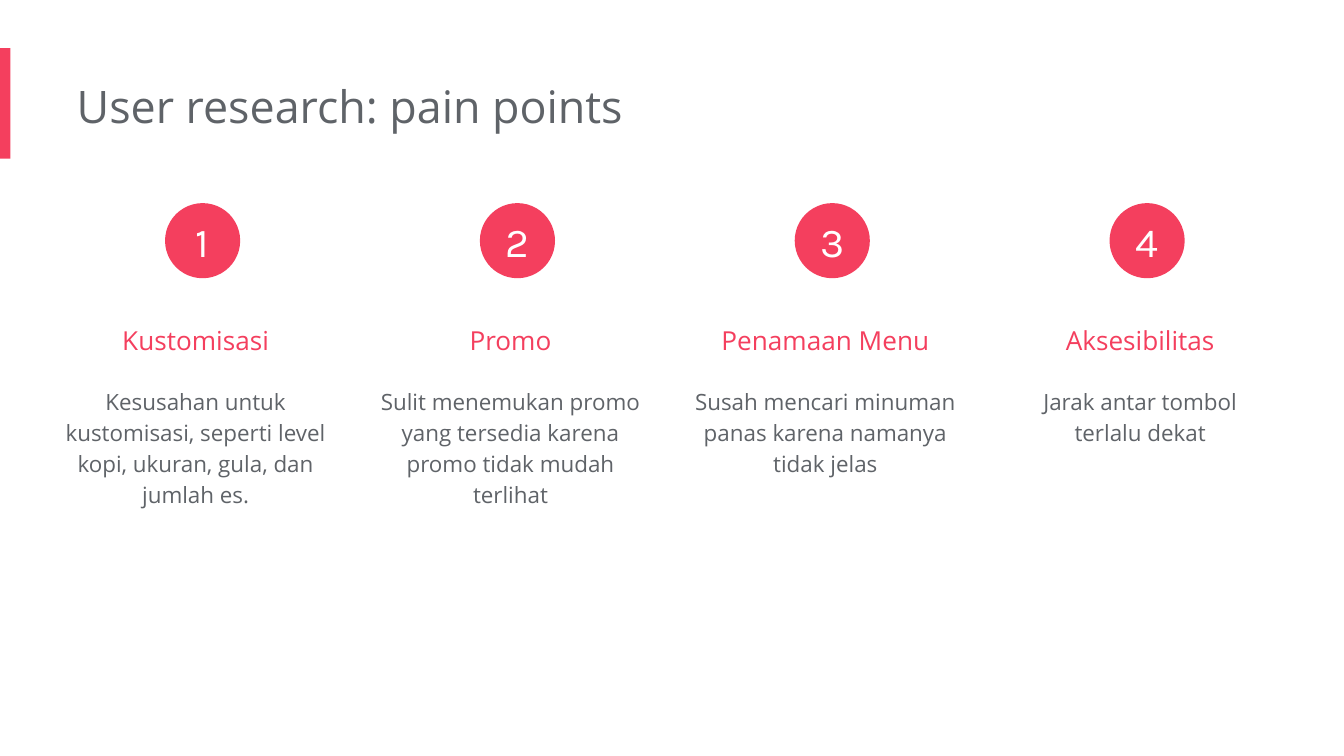
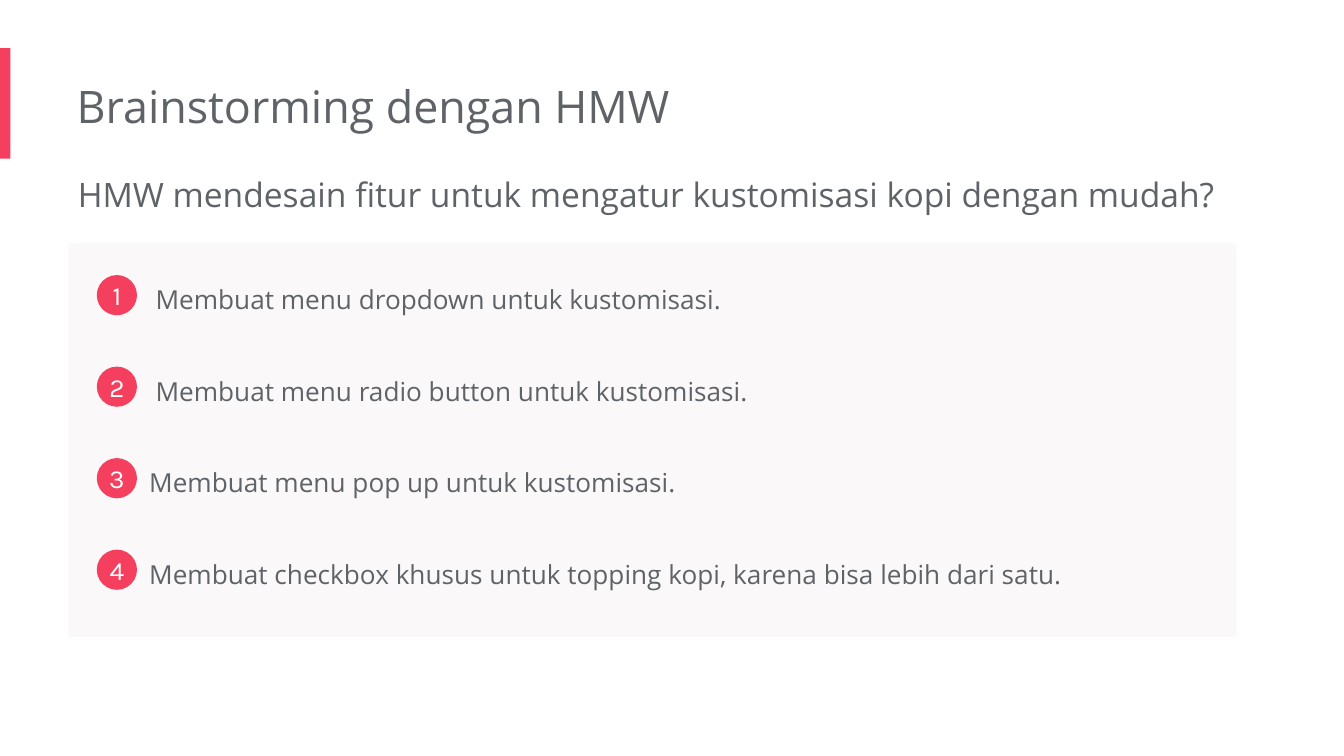
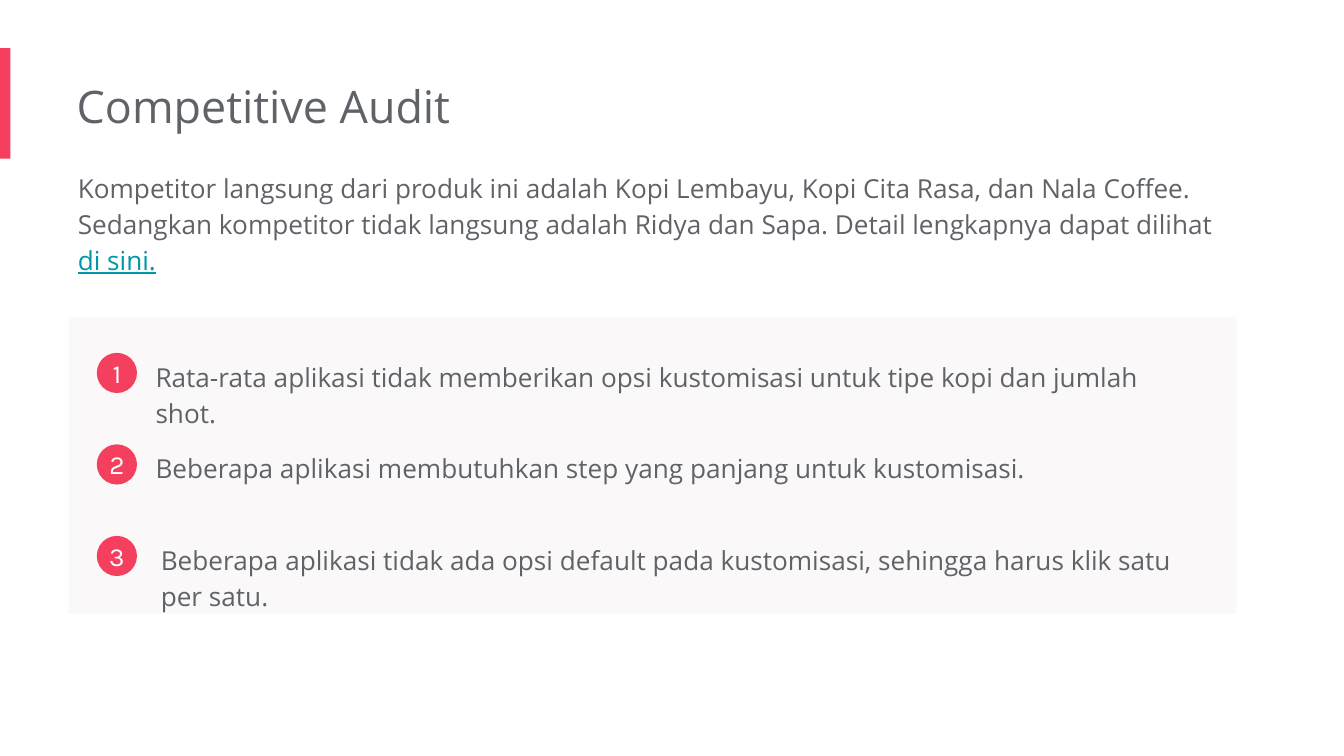
from pptx import Presentation
from pptx.dml.color import RGBColor
from pptx.enum.shapes import MSO_SHAPE
from pptx.enum.text import MSO_ANCHOR, MSO_AUTO_SIZE, PP_ALIGN
from pptx.oxml import parse_xml
from pptx.oxml.ns import nsdecls, qn
from pptx.util import Cm, Pt

COLORS = {
    "accent": "F43F5E",
    "text": "5F6368",
    "panel": "FAF8F8",
    "link": "0097A7",
    "white": "FFFFFF",
}
BODY_FONT = "Open Sans"
NUMBER_FONT = "Karla"
INSET = 0.25

# Numbered rows shared by the panel slides
ROW_PITCH = 1.73
ROW_TEXT_RISE = 0.18
ROW_TEXT_WIDTH = 20.1

# Columns of the pain points slide
COLUMN_LEFT = 1.22
COLUMN_PITCH = 5.95
COLUMN_WIDTH = 5.21

PAIN_POINTS = [
    ("Kustomisasi",
     "Kesusahan untuk kustomisasi, seperti level kopi, ukuran, gula, dan jumlah es."),
    ("Promo",
     "Sulit menemukan promo yang tersedia karena promo tidak mudah terlihat"),
    ("Penamaan Menu",
     "Susah mencari minuman panas karena namanya tidak jelas"),
    ("Aksesibilitas",
     "Jarak antar tombol terlalu dekat"),
]
# Text left, text height, wording
IDEAS = [
    (2.69, 1.12, "Membuat menu dropdown untuk kustomisasi."),
    (2.69, 1.12, "Membuat menu radio button untuk kustomisasi."),
    (2.57, 1.12, "Membuat menu pop up untuk kustomisasi."),
    (2.57, 1.12, "Membuat checkbox khusus untuk topping kopi, karena bisa lebih dari satu."),
]
FINDINGS = [
    (2.69, 1.8, "Rata-rata aplikasi tidak memberikan opsi kustomisasi untuk tipe kopi "
                "dan jumlah shot."),
    (2.69, 1.12, "Beberapa aplikasi membutuhkan step yang panjang untuk kustomisasi."),
    (2.79, 1.8, "Beberapa aplikasi tidak ada opsi default pada kustomisasi, sehingga "
                "harus klik satu per satu."),
]


def rgb(name):
    return RGBColor.from_string(COLORS[name])


def place(shape, left, top, width, height):
    shape.left, shape.top = Cm(left), Cm(top)
    shape.width, shape.height = Cm(width), Cm(height)


def add_run(paragraph, text, size, color="text", font=BODY_FONT, underline=None):
    run = paragraph.add_run()
    run.text = text
    run.font.size = Pt(size)
    run.font.name = font
    run.font.color.rgb = rgb(color)
    run.font.underline = underline


def write_text(shape, text, *, size, color="text", font=BODY_FONT,
               align=PP_ALIGN.LEFT, spacing=1.0, anchor=MSO_ANCHOR.TOP,
               left_inset=0, inset=INSET, autosize=MSO_AUTO_SIZE.SHAPE_TO_FIT_TEXT):
    """Write one formatted paragraph and return it."""
    frame = shape.text_frame
    frame.word_wrap = True
    frame.auto_size = autosize
    frame.vertical_anchor = anchor
    frame.margin_left = Cm(left_inset)
    frame.margin_top = frame.margin_right = frame.margin_bottom = Cm(inset)
    paragraph = frame.paragraphs[0]
    paragraph.alignment = align
    paragraph.line_spacing = spacing
    paragraph.space_before = Pt(0)
    add_run(paragraph, text, size, color, font)
    return paragraph


def add_text(slide, box, text, **text_format):
    textbox = slide.shapes.add_textbox(*map(Cm, box))
    write_text(textbox, text, **text_format)


def add_filled_shape(slide, outline, box, color):
    shape = slide.shapes.add_shape(outline, *map(Cm, box))
    shape.fill.solid()
    shape.fill.fore_color.rgb = rgb(color)
    shape.line.fill.background()
    shape.shadow.inherit = False
    return shape


def add_badge(slide, number, left, top, diameter, size):
    badge = add_filled_shape(slide, MSO_SHAPE.OVAL, (left, top, diameter, diameter), "accent")
    write_text(badge, str(number), size=size, color="white", font=NUMBER_FONT,
               align=PP_ALIGN.CENTER, anchor=MSO_ANCHOR.MIDDLE, inset=0,
               autosize=MSO_AUTO_SIZE.NONE)


def start_slide(deck, layout_name, title):
    """Add a slide with the accent bar and the shared title style."""
    slide = deck.slides.add_slide(deck.slide_layouts.get_by_name(layout_name))
    add_filled_shape(slide, MSO_SHAPE.RECTANGLE, (0, 0.91, 0.2, 2.09), "accent")
    place(slide.shapes.title, 1.45, 1.24, 17, 1.55)
    write_text(slide.shapes.title, title, size=24)
    return slide


def write_intro(slide, text, height, size):
    """Fill the body placeholder as an unbulleted lead paragraph."""
    intro = slide.placeholders[1]
    place(intro, 1.47, 2.92, 21.87, height)
    paragraph = write_text(intro, text, size=size, spacing=1.15)
    properties = next(intro.element.iter(qn("a:pPr")))
    properties.set("marL", "0")
    properties.set("indent", "0")
    properties.append(parse_xml(f"<a:buNone {nsdecls('a')}/>"))
    return paragraph


def add_numbered_panel(slide, rows, top, height, first_badge_top):
    add_filled_shape(slide, MSO_SHAPE.RECTANGLE, (1.3, top, 22.07, height), "panel")
    for index, (text_left, text_height, text) in enumerate(rows):
        badge_top = first_badge_top + index * ROW_PITCH
        add_text(slide, (text_left, badge_top - ROW_TEXT_RISE, ROW_TEXT_WIDTH, text_height),
                 text, size=14, spacing=1.15, left_inset=INSET)
        add_badge(slide, index + 1, 1.83, badge_top, 0.76, 14)


def add_pain_point(slide, index, heading, description):
    left = COLUMN_LEFT + index * COLUMN_PITCH
    add_text(slide, (left, 5.59, COLUMN_WIDTH, 1.12), heading,
             size=14, color="accent", align=PP_ALIGN.CENTER, spacing=1.5)
    add_text(slide, (left, 7.01, COLUMN_WIDTH, 2.79), description,
             size=12, align=PP_ALIGN.CENTER, spacing=1.15)
    add_badge(slide, index + 1, left + 1.9, 3.84, 1.42, 22)


def main():
    deck = Presentation()
    deck.slide_width, deck.slide_height = Cm(25.4), Cm(14.29)

    # Pain points
    pain_slide = start_slide(deck, "Title Only", "User research: pain points")
    for index, (heading, description) in enumerate(PAIN_POINTS):
        add_pain_point(pain_slide, index, heading, description)

    # Brainstorming
    ideas_slide = start_slide(deck, "Title and Content", "Brainstorming dengan HMW")
    write_intro(ideas_slide,
                "HMW mendesain fitur untuk mengatur kustomisasi kopi dengan mudah?",
                height=1.27, size=18)
    add_numbered_panel(ideas_slide, IDEAS, top=4.6, height=7.44, first_badge_top=5.2)

    # Competitive audit
    audit_slide = start_slide(deck, "Title and Content", "Competitive Audit")
    competitors = write_intro(
        audit_slide,
        "Kompetitor langsung dari produk ini adalah Kopi Lembayu, Kopi Cita Rasa, "
        "dan Nala Coffee. Sedangkan kompetitor tidak langsung adalah Ridya dan Sapa. "
        "Detail lengkapnya dapat dilihat ",
        height=2.49, size=14)
    add_run(competitors, "di sini.", 14, "link", underline=True)
    add_numbered_panel(audit_slide, FINDINGS, top=5.99, height=5.61, first_badge_top=6.67)

    deck.save("out.pptx")


if __name__ == "__main__":
    main()
